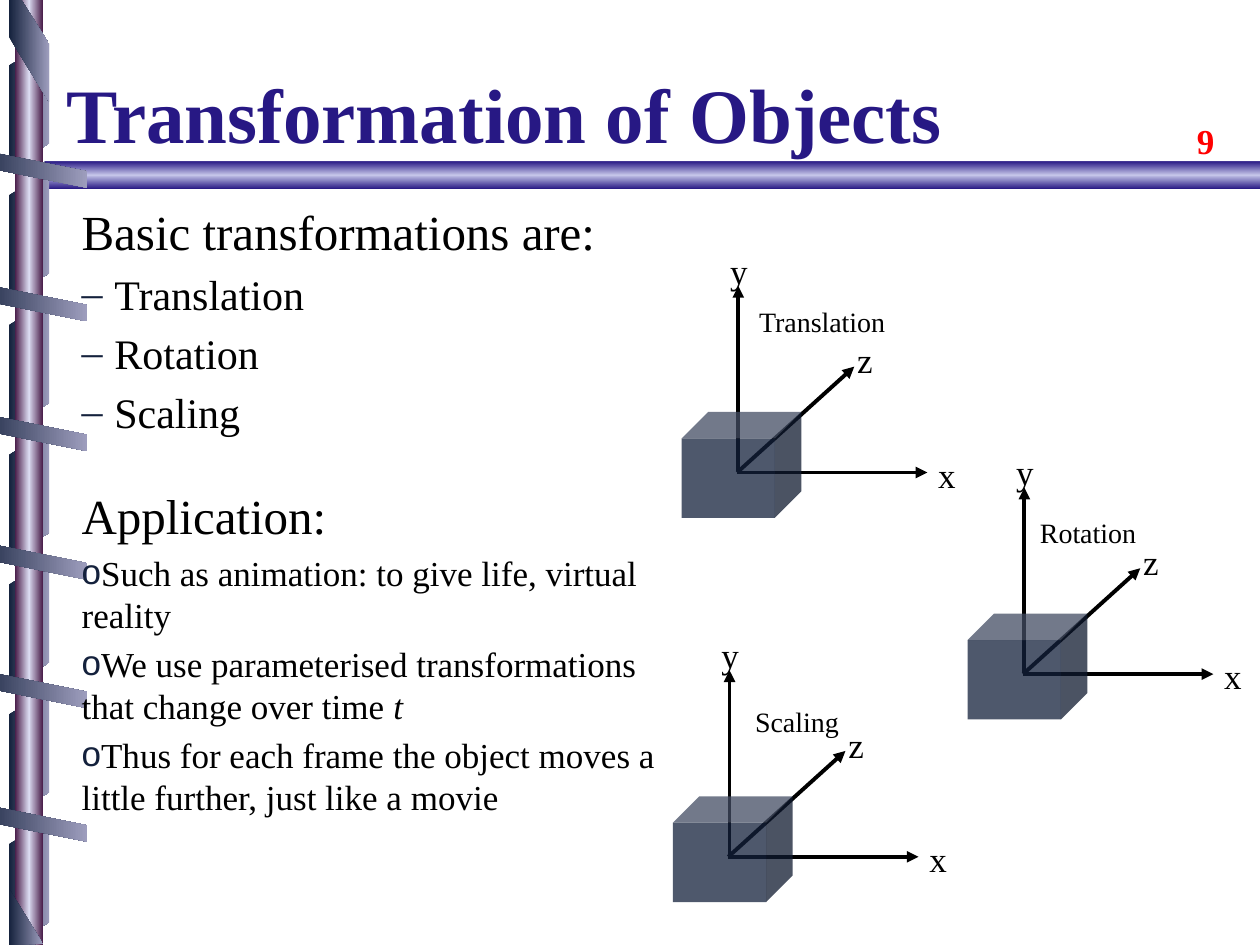
from lxml.etree import SubElement
from pptx import Presentation
from pptx.dml.color import RGBColor
from pptx.enum.shapes import MSO_CONNECTOR, MSO_SHAPE
from pptx.enum.text import MSO_ANCHOR, PP_ALIGN
from pptx.oxml import parse_xml
from pptx.oxml.ns import nsdecls, qn
from pptx.util import Inches, Pt

FACE = "Times New Roman"
BLACK = RGBColor(0, 0, 0)
RED = RGBColor(0xFF, 0, 0)
INDIGO = RGBColor(0x27, 0x18, 0x84)
LILAC = RGBColor(0xC5, 0xC5, 0xE9)
PLUM = RGBColor(0x49, 0x1D, 0x49)
PALE = RGBColor(0xDB, 0xDB, 0xF1)
NAVY = RGBColor(0x14, 0x21, 0x3C)
MIST = RGBColor(0x9D, 0x9D, 0xBD)

deck = Presentation()
deck.slide_width, deck.slide_height = Inches(10), Inches(7.5)
slide = deck.slides.add_slide(deck.slide_layouts[6])
shapes = slide.shapes


def shade(shape, tints, angle):
    shape.shadow.inherit = False
    shape.line.fill.background()
    last = len(tints) - 1
    stops = "".join(
        f'<a:gs pos="{100000 * i // last}"><a:srgbClr val="{tint}"/></a:gs>'
        for i, tint in enumerate(tints))
    fill = parse_xml(
        f'<a:gradFill {nsdecls("a")} rotWithShape="1"><a:gsLst>{stops}</a:gsLst>'
        f'<a:lin ang="{angle * 60000}" scaled="0"/></a:gradFill>')
    shape._element.spPr.find(qn("a:ln")).addprevious(fill)


def write(box, text, size, tint=BLACK, bold=False, align=PP_ALIGN.LEFT):
    left, top, width, height = box
    frame = shapes.add_textbox(Inches(left), Inches(top), Inches(width), Inches(height)).text_frame
    frame.word_wrap = True
    para = frame.paragraphs[0]
    para.alignment = align
    run = para.add_run()
    run.text = text
    font = run.font
    font.name, font.size, font.bold = FACE, Pt(size), bold
    font.color.rgb = tint
    return frame


bar = shapes.add_shape(MSO_SHAPE.PENTAGON, Inches(0.19), Inches(1.28), Inches(9.81), Inches(0.22))
bar.adjustments[0] = 0.77
bar._element.spPr.xfrm.set("flipH", "1")
shade(bar, [INDIGO, LILAC, INDIGO], 90)

knob = shapes.add_shape(MSO_SHAPE.OVAL, Inches(0.14), Inches(1.27), Inches(0.24), Inches(0.22))
knob.shadow.inherit = False
knob.fill.solid()
knob.fill.fore_color.rgb = PALE
knob.line.fill.background()

back = []
for i in range(7):
    top = 0.34 + 1.03 * i
    back.append([(0.07, top + 0.18), (0.39, top), (0.39, top + 0.8), (0.07, top + 0.98)])
front = [[(-0.26, top), (0.69, top + 0.19), (0.69, top + 0.32), (-0.26, top + 0.13)]
         for top in (4.28, 5.3, 6.36, 1.17, 2.23, 3.26)]
front.append([(0.07, 0), (0.07, 0.29), (0.39, 0.81), (0.39, 0.35), (0.17, 0)])
front.append([(0.34, 7.49), (0.07, 7.05), (0.07, 7.5)])

for layer in (back, front):
    for points in layer:
        spots = [(Inches(x), Inches(y)) for x, y in points]
        path = shapes.build_freeform(*spots[0])
        path.add_line_segments(spots[1:])
        shade(path.convert_to_shape(), [NAVY, MIST], 0)
    if layer is back:
        pole = shapes.add_shape(MSO_SHAPE.RECTANGLE, Inches(0.12), 0, Inches(0.22), Inches(7.5))
        shade(pole, [PLUM, PALE, PLUM], 0)

number = write((9.4, 0.9, 0.52, 0.43), "9", 20, RED, True)
number.word_wrap = False
title = write((0.43, 0.14, 8.14, 1.17), "Transformation of Objects", 44, INDIGO, True)
title.vertical_anchor = MSO_ANCHOR.BOTTOM

body = write((0.55, 1.55, 4.76, 5.73), "Basic transformations are:", 28)
items = [
    ("–", 24, 4.8, ["Translation"]),
    ("–", 24, 4.8, ["Rotation"]),
    ("–", 24, 4.8, ["Scaling"]),
    ("", 28, 28, ["Application:"]),
    ("o", 20, 4, ["Such as animation: to give life, virtual reality"]),
    ("o", 20, 4, ["We use parameterised transformations that change over time ", "t"]),
    ("o", 20, 4, ["Thus for each frame the object moves a little further, just like a movie"]),
]
for mark, size, gap, parts in items:
    para = body.add_paragraph()
    para.space_before = Pt(gap)
    if mark:
        props = para._p.get_or_add_pPr()
        inset = Inches(0.26) if mark == "–" else 0
        props.set("marL", str(inset))
        props.set("indent", str(-inset))
        SubElement(SubElement(props, qn("a:buClr")), qn("a:srgbClr")).set("val", str(NAVY))
        SubElement(props, qn("a:buFont")).set("typeface", FACE if mark == "–" else "Arial")
        SubElement(props, qn("a:buChar")).set("char", mark)
    for part in parts:
        run = para.add_run()
        run.text = part
        run.font.name, run.font.size = FACE, Pt(size)
        run.font.color.rgb = BLACK
        run.font.italic = part == "t"

for para in body.paragraphs:
    for run in para.runs:
        run._r.rPr.find(qn("a:solidFill")).addnext(parse_xml(
            f'<a:effectLst {nsdecls("a")}><a:outerShdw dist="38100" dir="2700000">'
            '<a:srgbClr val="C0C0C0"/></a:outerShdw></a:effectLst>'))

axes = [
    ("y", 0.01, -0.01, 0.01, -1.48, -0.19, -1.77),
    ("x", 0, 0, 1.51, 0, 1.46, -0.15),
    ("z", 0, 0, 0.93, -0.84, 0.81, -1.06),
]
scenes = [
    ("Translation", 5.85, 3.75, 5.43, 2.41),
    ("Rotation", 8.12, 5.35, 7.54, 4.08),
    ("Scaling", 5.78, 6.8, 5.23, 5.58),
]
for name, x, y, left, top in scenes:
    for axis, x1, y1, x2, y2, dx, dy in axes:
        arrow = shapes.add_connector(MSO_CONNECTOR.STRAIGHT, Inches(x + x1), Inches(y + y1),
                                     Inches(x + x2), Inches(y + y2))
        arrow.line.width = Pt(2.25)
        arrow.line.color.rgb = BLACK
        SubElement(arrow.line._get_or_add_ln(), qn("a:tailEnd")).set("type", "triangle")
        SubElement(arrow._element.spPr, qn("a:effectLst"))
        label = write((x + dx, y + dy, 0.41, 0.38), axis, 20, align=PP_ALIGN.CENTER)
        label.paragraphs[0].line_spacing = 0.85
    cube = shapes.add_shape(MSO_SHAPE.CUBE, Inches(x - 0.44), Inches(y - 0.48),
                            Inches(0.95), Inches(0.84))
    cube.shadow.inherit = False
    cube.adjustments[0] = 0.25
    cube.line.fill.background()
    cube.fill.solid()
    cube.fill.fore_color.rgb = NAVY
    tone = cube._element.spPr.find(qn("a:solidFill"))[0]
    SubElement(tone, qn("a:alpha")).set("val", "75000")
    label = write((left, top, 2.19, 0.33), name, 16, align=PP_ALIGN.CENTER)
    label.paragraphs[0].line_spacing = 0.85

deck.save("out.pptx")
